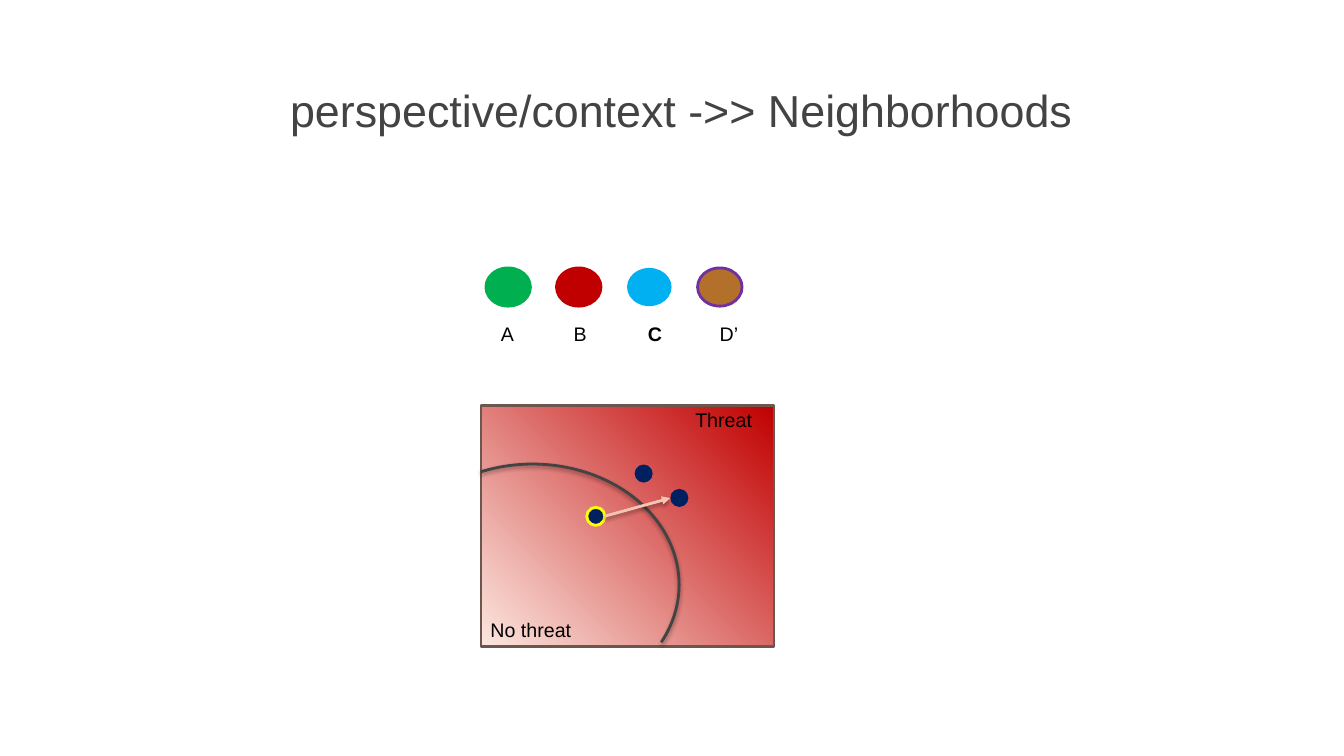
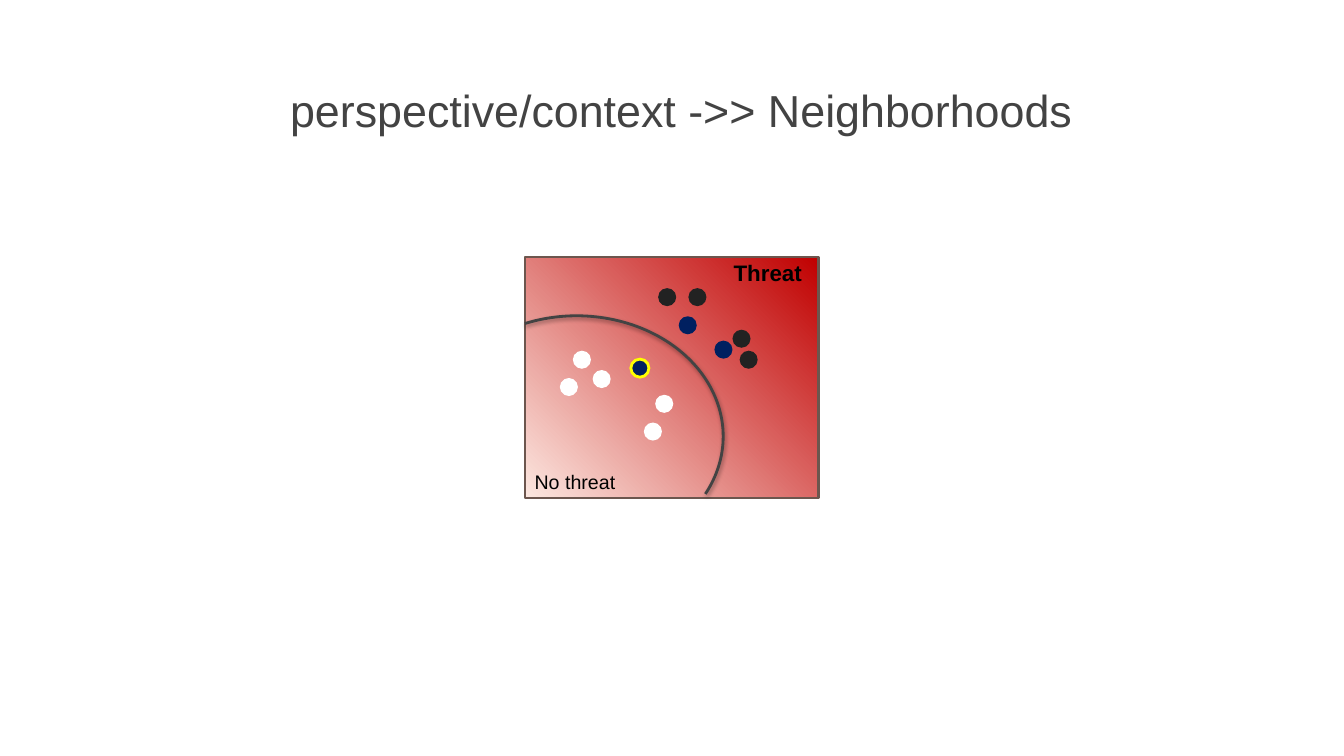
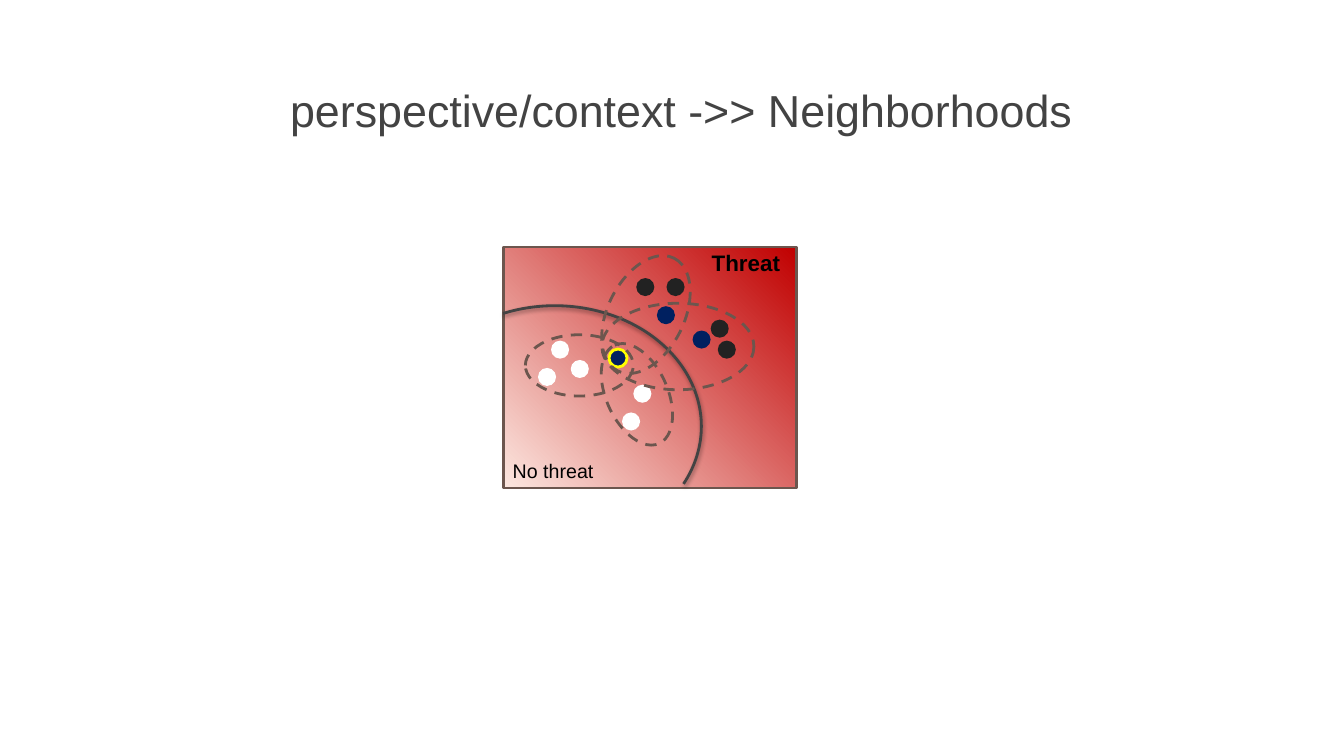
import pptx
import pptx.dml.color
import pptx.enum.dml
import pptx.enum.shapes
import pptx.enum.text
import pptx.oxml
import pptx.oxml.ns
import pptx.util
from lxml import etree

SHAPES = pptx.enum.shapes.MSO_SHAPE
COLUMNS = 32
TITLE = "perspective/context ->> Neighborhoods"
COLORS = {
    "title": "434343", "text": "000000", "frame": "6C564E", "boundary": "434343",
    "pale": "FCE7E0", "threat": "C00000", "ember": "E75018", "arrow": "F7C4B1",
    "navy": "002060", "yellow": "FFFF00", "white": "FFFFFF", "black": "222222",
    "green": "00B050", "sky": "00B0F0", "brown": "B3702A", "purple": "7030A0",
}
MAP_SIZE = (6.98, 5.74)
DOT_SIZE = (0.43, 0.43)
LABEL_HEIGHT = 0.82
SAFE_DOTS = [(1.14, 2.23), (1.61, 2.69), (2.83, 3.94), (3.1, 3.28), (0.83, 2.88)]
THREAT_DOTS = [(3.89, 0.74), (3.17, 0.74), (4.94, 1.73), (5.11, 2.23)]


def rgb(name):
    return pptx.dml.color.RGBColor.from_string(COLORS[name])


def add_node(parent, tag, **attributes):
    return etree.SubElement(parent, pptx.oxml.ns.qn(tag), attributes)


class Sketch:
    """Draws in square grid cells, measured from the current origin."""

    def __init__(self):
        self.deck = pptx.Presentation()
        self.deck.slide_width = pptx.util.Inches(13.333)
        self.deck.slide_height = pptx.util.Inches(7.5)
        self.cell = self.deck.slide_width / COLUMNS
        self.slide = None
        self.origin = (0, 0)

    def start_slide(self):
        self.slide = self.deck.slides.add_slide(self.deck.slide_layouts[6])
        self.origin = (0, 0)
        self.text(TITLE, (6.67, 1.85), (20.42, 1.54), size=32, color="title")

    def lengths(self, *cells):
        return [round(value * self.cell) for value in cells]

    def place(self, position):
        return self.lengths(*(start + step for start, step in zip(self.origin, position)))

    def text(self, words, position, size_cells, size=14, color="text", bold=False, centered=False):
        box = self.slide.shapes.add_textbox(*self.place(position), *self.lengths(*size_cells))
        frame = box.text_frame
        frame.word_wrap = True
        frame.auto_size = pptx.enum.text.MSO_AUTO_SIZE.SHAPE_TO_FIT_TEXT
        para = frame.paragraphs[0]
        if centered:
            para.alignment = pptx.enum.text.PP_ALIGN.CENTER
        span = para.add_run()
        span.text = words
        span.font.name = "Arial"
        span.font.size = pptx.util.Pt(size)
        span.font.bold = bold
        span.font.color.rgb = rgb(color)

    def outline(self, item, color, shadow=False):
        """Set the line, then replace the theme shadow by none or a soft one."""
        if color:
            item.line.color.rgb = rgb(color)
            item.line.width = pptx.util.Pt(2)
        else:
            item.line.fill.background()
        effects = add_node(item._element.spPr, "a:effectLst")
        if shadow:
            outer = add_node(effects, "a:outerShdw", blurRad="40000", dist="20000",
                             dir="5400000", rotWithShape="0")
            black = add_node(outer, "a:srgbClr", val=COLORS["text"])
            add_node(black, "a:alpha", val="38000")

    def shape(self, kind, position, size, fill=None, line=None, shadow=False):
        shape = self.slide.shapes.add_shape(kind, *self.place(position), *self.lengths(*size))
        if fill:
            shape.fill.solid()
            shape.fill.fore_color.rgb = rgb(fill)
        else:
            shape.fill.background()
        self.outline(shape, line, shadow)
        return shape

    def dots(self, positions, fill, line=None):
        for position in positions:
            self.shape(SHAPES.OVAL, position, DOT_SIZE, fill, line)

    def neighborhood(self, position, size, rotation):
        ring = self.shape(SHAPES.OVAL, position, size, line="frame")
        ring.rotation = rotation
        ring.line.dash_style = pptx.enum.dml.MSO_LINE.DASH

    def arrow(self, start, end):
        arrow = self.slide.shapes.add_connector(
            pptx.enum.shapes.MSO_CONNECTOR.STRAIGHT, *self.place(start), *self.place(end))
        self.outline(arrow, "arrow", shadow=True)
        add_node(arrow.line._get_or_add_ln(), "a:tailEnd", type="triangle")

    def radiate(self, shape):
        """Fill with a gradient that spreads from the lower left corner."""
        fill = pptx.oxml.parse_xml(f'<a:gradFill {pptx.oxml.ns.nsdecls("a")} rotWithShape="1"/>')
        stops = add_node(fill, "a:gsLst")
        for share, color in ((0, "pale"), (100, "threat"), (100, "ember")):
            stop = add_node(stops, "a:gs", pos=str(share * 1000))
            add_node(stop, "a:srgbClr", val=COLORS[color])
        spread = add_node(fill, "a:path", path="circle")
        add_node(spread, "a:fillToRect", t="100000", r="100000")
        properties = shape._element.spPr
        properties.replace(properties.find(pptx.oxml.ns.qn("a:noFill")), fill)

    def threat_map(self, origin, strong=False):
        """Draw the map and leave the origin at its corner."""
        self.origin = origin
        self.radiate(self.shape(SHAPES.RECTANGLE, (0, 0), MAP_SIZE, line="frame"))
        self.text("No threat", (-0.08, 4.94), (2.54, LABEL_HEIGHT), centered=True)
        self.text("Threat", (4.51, -0.06), (2.54, LABEL_HEIGHT), size=16 if strong else 14,
                  bold=strong, centered=True)
        arc = self.shape(SHAPES.ARC, (-2.26, 1.4), MAP_SIZE, line="boundary", shadow=True)
        for index, degrees in enumerate((245.34, 24.11)):
            arc.adjustments[index] = degrees * 0.6
        self.dots([(3.66, 1.41), (4.51, 1.99)], "navy")
        self.dots([(2.52, 2.43)], "navy", "yellow")

    def examples(self):
        self.dots(SAFE_DOTS, "white")
        self.dots(THREAT_DOTS, "black")


def main():
    sketch = Sketch()

    sketch.start_slide()
    perspectives = [
        ("A", "green", "green", 11.69, 0.79),
        ("B", "threat", "threat", 13.42, 0.53),
        ("C", "sky", None, 15.19, 1.42),
        ("D’", "brown", "purple", 16.9, 1.18),
    ]
    for index, (name, fill, line, left, width) in enumerate(perspectives):
        sketch.shape(SHAPES.OVAL, (11.57 + 1.68 * index, 6.38), (1.06, 0.91), fill, line)
        sketch.text(name, (left, 7.54), (width, LABEL_HEIGHT), bold=name == "C")
    sketch.threat_map((11.45, 9.65))
    sketch.arrow((2.95, 2.64), (4.51, 2.21))

    sketch.start_slide()
    sketch.threat_map((12.5, 6.12), strong=True)
    sketch.examples()

    sketch.start_slide()
    sketch.threat_map((11.98, 5.88), strong=True)
    sketch.examples()
    for position, size, rotation in (
        ((0.53, 2.09), (2.57, 1.46), 0),
        ((1.9, 2.78), (2.57, 1.46), 65.8),
        ((1.9, 0.7), (3, 1.82), 116.4),
        ((2.35, 1.34), (3.62, 2.06), 180),
    ):
        sketch.neighborhood(position, size, rotation)

    sketch.deck.save("out.pptx")


if __name__ == "__main__":
    main()
